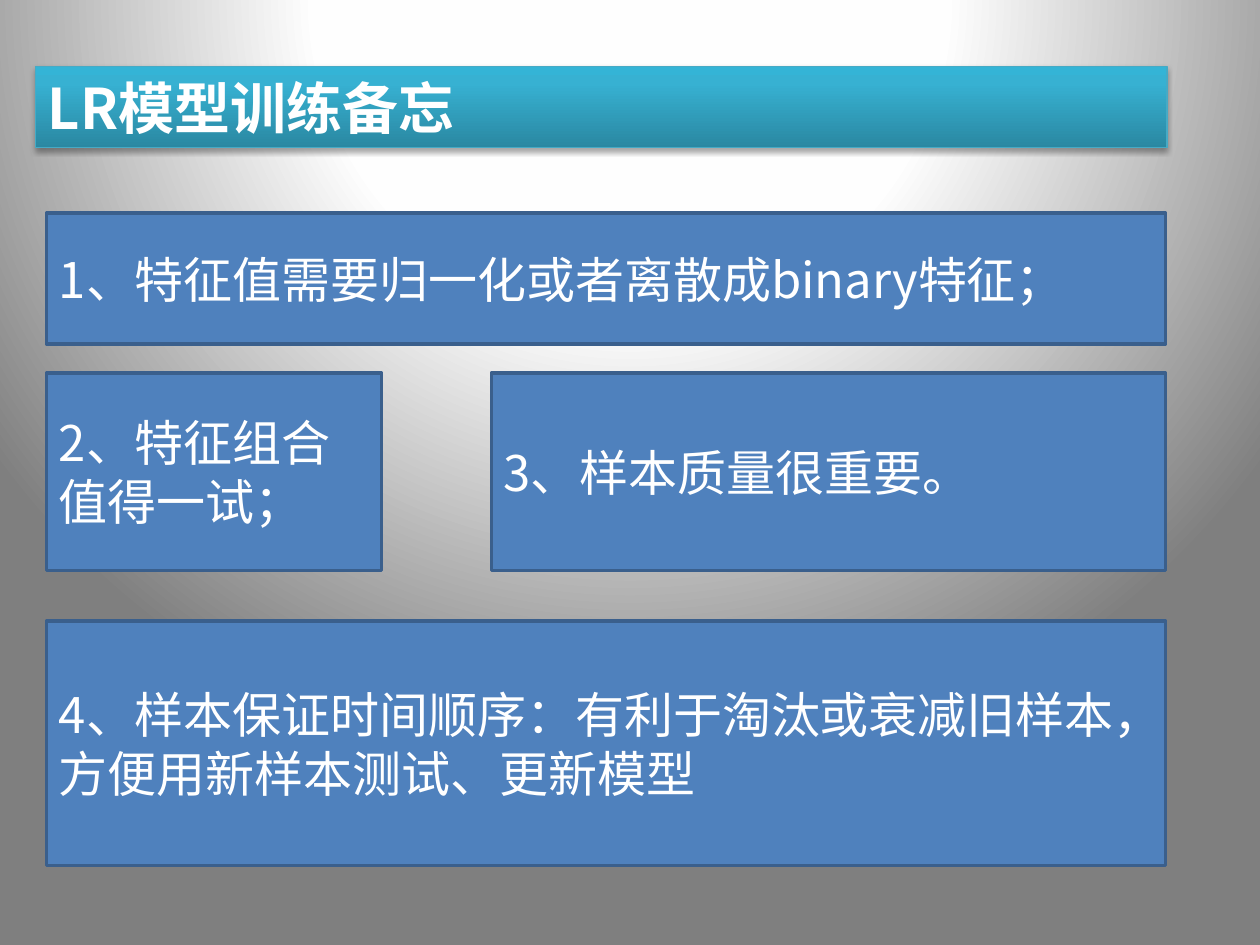
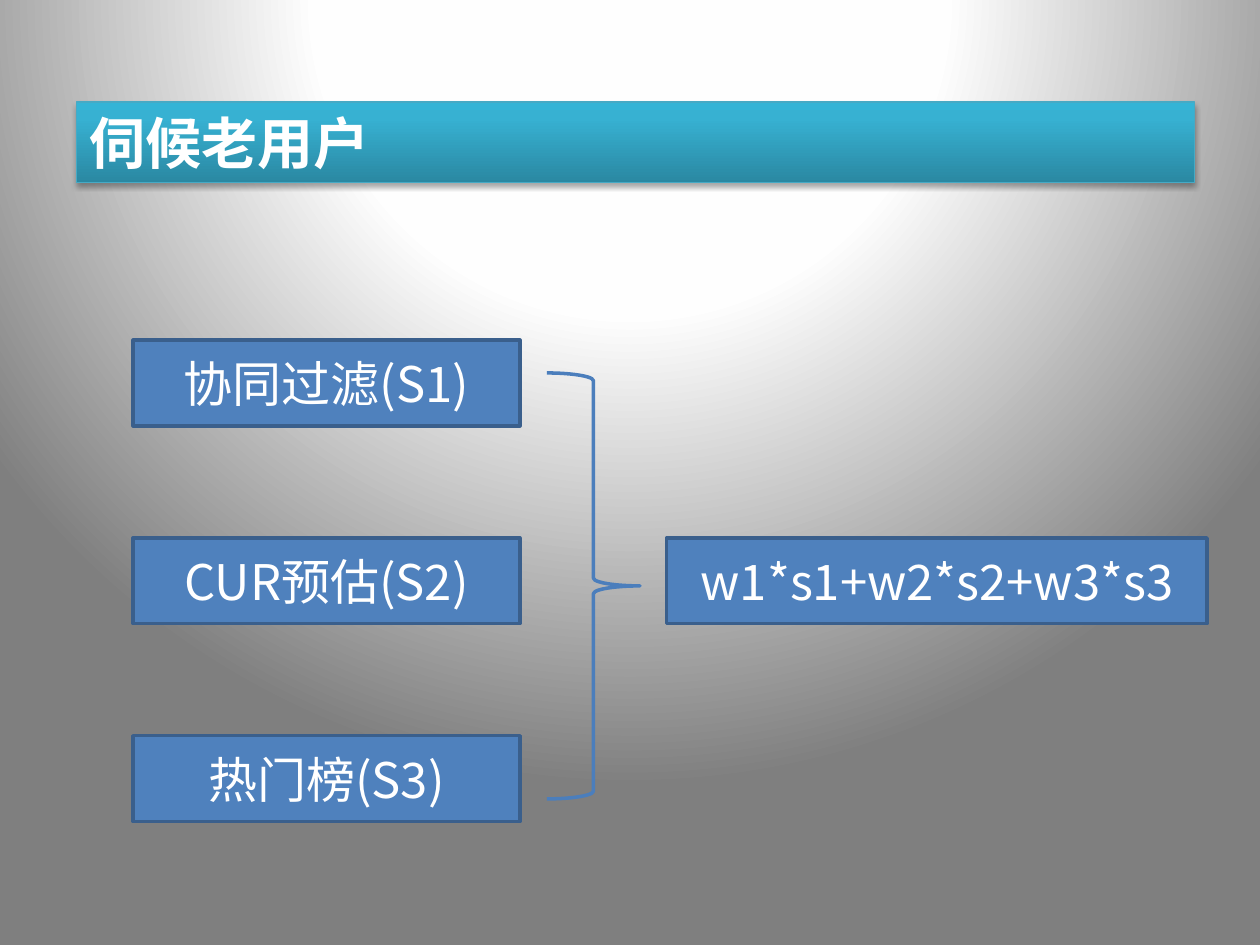
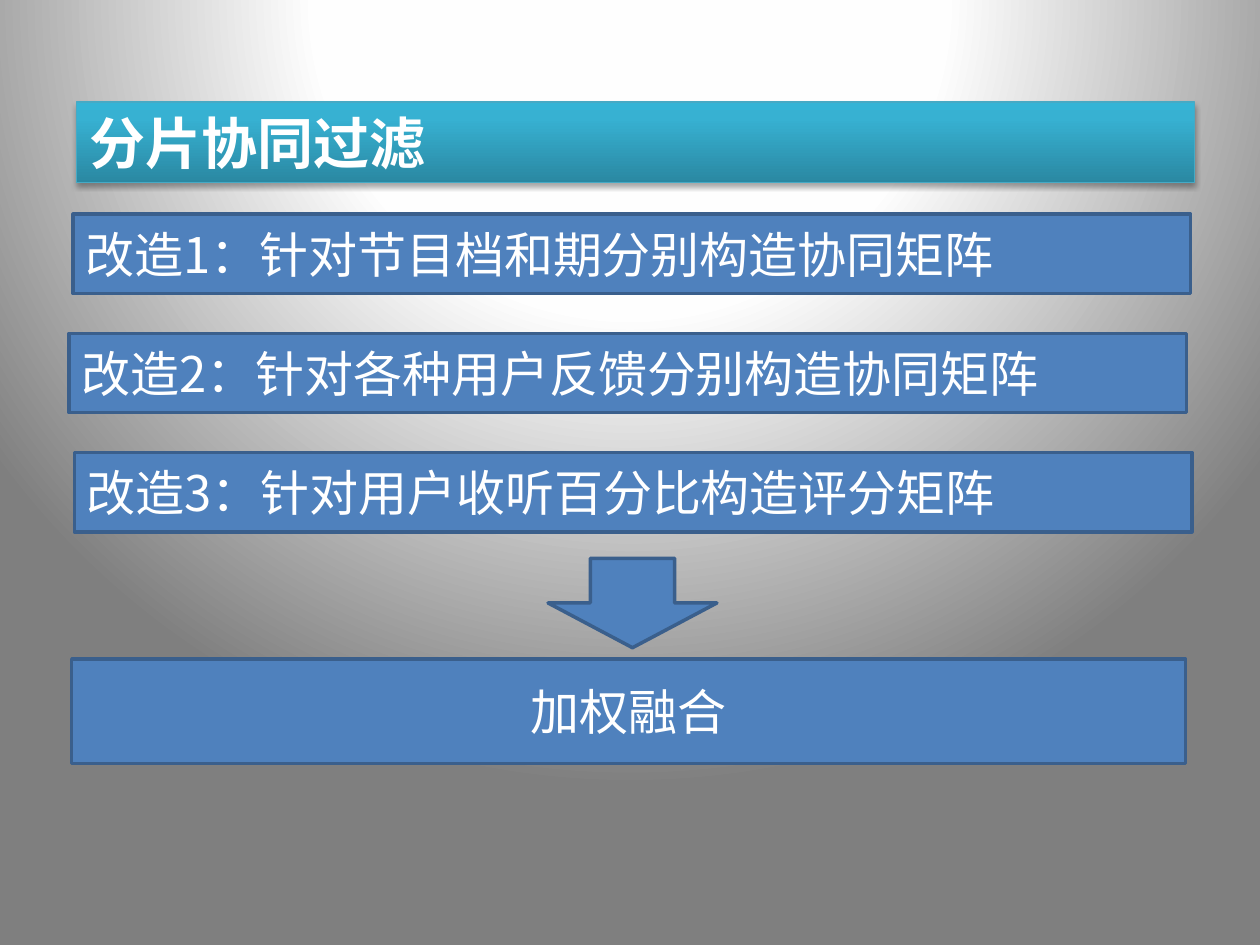
import pptx
import pptx.util
import pptx.dml.color
import pptx.enum.shapes
import pptx.enum.text
import pptx.oxml.ns
import lxml.etree

# Shared style
FONT = "Noto Sans CJK SC"
WHITE, BLUE, NAVY = "FFFFFF", "4F81BD", "3A5F8C"
BRACE, EDGE = "4B7EBC", "46AAC5"
GLOW = [(0, WHITE), (40, "FEFEFE"), (100, "7F7F7F")]
TEAL = [(0, "2A88A2"), (80, "37B1D2"), (100, "34B4D6")]

Pt = pptx.util.Pt
KIND = pptx.enum.shapes.MSO_SHAPE
ALIGN = pptx.enum.text.PP_ALIGN
MID = pptx.enum.text.MSO_ANCHOR.MIDDLE
TOP = pptx.enum.text.MSO_ANCHOR.TOP


def color(code):
    return pptx.dml.color.RGBColor.from_string(code)


def add(node, tag, **attrs):
    """Append a drawing element and return it."""
    name = pptx.oxml.ns.qn("a:" + tag)
    return lxml.etree.SubElement(node, name, {k: str(v) for k, v in attrs.items()})


def shade(fill, root, stops):
    """Turn a fill into a gradient with the given stops and no direction yet."""
    fill.gradient()
    grad = root.find(".//" + pptx.oxml.ns.qn("a:gradFill"))
    for child in list(grad):
        grad.remove(child)
    group = add(grad, "gsLst")
    for place, code in stops:
        add(add(group, "gs", pos=place * 1000), "srgbClr", val=code)
    return grad


class Deck:
    def __init__(self):
        self.prs = pptx.Presentation()
        self.prs.slide_width, self.prs.slide_height = Pt(720), Pt(540)
        self.slide = None
        # Round glow behind every slide
        master = self.prs.slide_master
        grad = shade(master.background.fill, master.element, GLOW)
        route = add(grad, "path", path="circle")
        add(route, "fillToRect", l=50000, t=-80000, r=50000, b=180000)

    def page(self, title, left=43.9, top=58.3, width=638.6):
        self.slide = self.prs.slides.add_slide(self.prs.slide_layouts[6])
        self.band(title, left, top, width)

    def shape(self, kind, left, top, width, height, fill=BLUE, line=NAVY, weight=2):
        shape = self.slide.shapes.add_shape(
            kind, Pt(left), Pt(top), Pt(width), Pt(height))
        shape.shadow.inherit = False
        if fill:
            shape.fill.solid()
            shape.fill.fore_color.rgb = color(fill)
        else:
            shape.fill.background()
        shape.line.color.rgb = color(line)
        shape.line.width = Pt(weight)
        return shape

    def label(self, shape, text, size, align, anchor, bold=False):
        frame = shape.text_frame
        frame.text = text
        frame.word_wrap = True
        frame.vertical_anchor = anchor
        para = frame.paragraphs[0]
        para.alignment = align
        for run in para.runs:
            font = run.font
            font.name, font.size, font.bold = FONT, Pt(size), bold
            font.color.rgb = color(WHITE)
            add(run._r.get_or_add_rPr(), "ea", typeface=FONT)

    def band(self, text, left, top, width):
        band = self.shape(KIND.RECTANGLE, left, top, width, 46.1, line=EDGE, weight=0.75)
        grad = shade(band.fill, band.element, TEAL)
        add(grad, "lin", ang=270 * 60000, scaled=0)
        # Soft shadow below the band
        effect = band.element.find(".//" + pptx.oxml.ns.qn("a:effectLst"))
        soft = add(effect, "outerShdw", blurRad=Pt(3.1), dist=Pt(1.8),
                   dir=90 * 60000, rotWithShape=0)
        add(add(soft, "srgbClr", val="000000"), "alpha", val=35000)
        self.label(band, text, 32, ALIGN.LEFT, TOP, bold=True)
        band.text_frame.auto_size = pptx.enum.text.MSO_AUTO_SIZE.SHAPE_TO_FIT_TEXT

    def box(self, text, left, top, width, height, align=ALIGN.LEFT):
        box = self.shape(KIND.RECTANGLE, left, top, width, height)
        self.label(box, text, 28, align, MID)


def main():
    deck = Deck()

    # Training notes
    deck.page("LR模型训练备忘", 20.2, 38.2, 646.6)
    left, full = 26.6, 639.4
    deck.box("1、特征值需要归一化或者离散成binary特征；", left, 121.7, full, 74.9)
    deck.box("2、特征组合值得一试；", left, 213.1, 191.5, 113)
    deck.box("3、样本质量很重要。", 280.8, 213.1, 385.2, 113)
    deck.box("4、样本保证时间顺序：有利于淘汰或衰减旧样本，方便用新样本测试、更新模型",
             left, 355, full, 139.7)

    # Scores merged into a weighted sum
    deck.page("伺候老用户")
    top, step, height = 194.4, 113, 49
    for row, score in enumerate(["协同过滤(S1)", "CUR预估(S2)", "热门榜(S3)"]):
        deck.box(score, 76.1, top + row * step, 221, height, ALIGN.CENTER)
    deck.shape(KIND.RIGHT_BRACE, 312.5, 213.1, 53.3, 243.4, fill=None, line=BRACE)
    deck.box("w1*s1+w2*s2+w3*s3", 380.9, top + step, 308.9, height, ALIGN.CENTER)

    # Three changes leading to one blend
    deck.page("分片协同过滤")
    changes = [(41.8, "改造1：针对节目档和期分别构造协同矩阵"),
               (39.6, "改造2：针对各种用户反馈分别构造协同矩阵"),
               (42.5, "改造3：针对用户收听百分比构造评分矩阵")]
    for row, (left, change) in enumerate(changes):
        deck.box(change, left, 122.4 + row * 68.1, 638.6, 45.4)
    deck.box("加权融合", 41, 376.6, 636.5, 59.8, ALIGN.CENTER)
    deck.shape(KIND.DOWN_ARROW, 313.2, 319, 96.5, 51.1)

    deck.prs.save("out.pptx")


if __name__ == "__main__":
    main()
